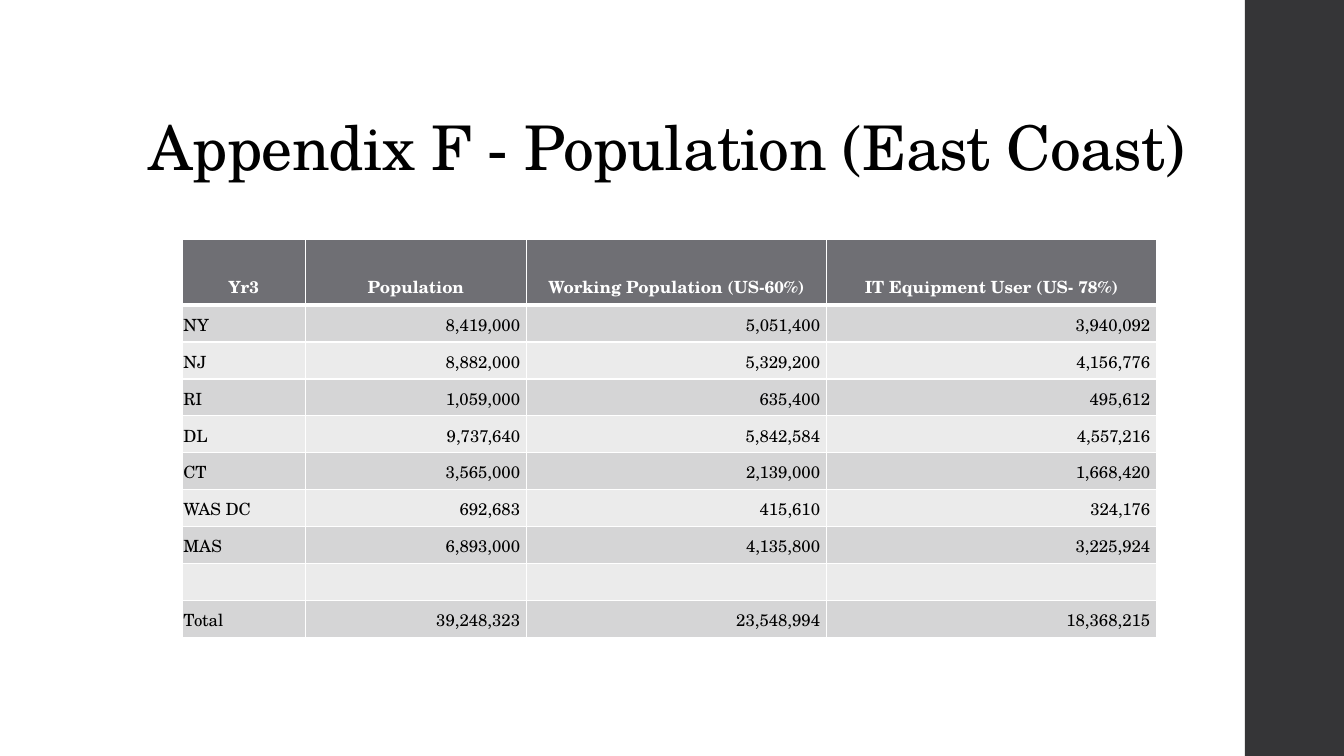
from lxml.etree import SubElement as Sub
from pptx import Presentation
from pptx.dml.color import RGBColor
from pptx.enum.shapes import MSO_SHAPE as Shape
from pptx.enum.text import MSO_ANCHOR as Anchor, PP_ALIGN as Align
from pptx.oxml.ns import qn
from pptx.util import Cm, Pt

FONT = "TeX Gyre Schola"
HEAD = ["Yr3", "Population", "Working Population (US-60%)", "IT Equipment User (US- 78%)"]
ROWS = [
    ["NY", "8,419,000", "5,051,400", "3,940,092"],
    ["NJ", "8,882,000", "5,329,200", "4,156,776"],
    ["RI", "1,059,000", "635,400", "495,612"],
    ["DL", "9,737,640", "5,842,584", "4,557,216"],
    ["CT", "3,565,000", "2,139,000", "1,668,420"],
    ["WAS DC", "692,683", "415,610", "324,176"],
    ["MAS", "6,893,000", "4,135,800", "3,225,924"],
    ["", "", "", ""],
    ["Total", "39,248,323", "23,548,994", "18,368,215"],
]
WIDTHS = [3.09, 5.58, 7.56, 8.32]
HEAD_H, ROW_H = 1.65, 0.93


def paint(fill, color):
    fill.solid()
    fill.fore_color.rgb = RGBColor.from_string(color)


def write(frame, text, size=12, color="000000", bold=False, align=Align.LEFT, space=None, line=None):
    para = frame.paragraphs[0]
    para.alignment = align
    para.line_spacing = line
    run = para.add_run()
    run.text = text
    run.font.name = FONT
    run.font.size = Pt(size)
    run.font.bold = bold
    run.font.color.rgb = RGBColor.from_string(color)
    if space is not None:
        run.font._element.set("spc", str(space))


def add_title(slide, text):
    box = slide.shapes.add_textbox(Cm(3.5), Cm(1.02), Cm(27.69), Cm(3.73))
    frame = box.text_frame
    frame.word_wrap = True
    frame.vertical_anchor = Anchor.BOTTOM
    write(frame, text, size=44, space=-50, line=0.9)


def add_band(slide, color):
    band = slide.shapes.add_shape(Shape.RECTANGLE, Cm(31.37), 0, Cm(2.5), Cm(19.05))
    band.shadow.inherit = False
    paint(band.fill, color)
    band.line.fill.background()


def add_edges(cell, color, **widths):
    props = cell._tc.get_or_add_tcPr()
    for side, width in widths.items():
        edge = Sub(props, qn(f"a:ln{side}"), w=str(Pt(width)))
        Sub(Sub(edge, qn("a:solidFill")), qn("a:srgbClr"), val=color)


def fill_cell(cell, text, row, col):
    top = row == 0
    number = not top and col > 0
    add_edges(cell, "FFFFFF", L=1, R=1, T=3 if row == 1 else 1, B=3 if top else 1)
    paint(cell.fill, "6F6F74" if top else "D5D5D6" if row % 2 else "EBEBEB")
    cell.vertical_anchor = Anchor.BOTTOM
    cell.margin_left = cell.margin_top = Cm(0.02)
    cell.margin_right = Cm(0.16 if number else 0.02)
    cell.margin_bottom = Cm(0.13)
    align = Align.CENTER if top else Align.RIGHT if number else Align.LEFT
    write(cell.text_frame, text, color="FFFFFF" if top else "000000", bold=top, align=align)


def add_grid(slide, rows):
    high = HEAD_H + ROW_H * (len(rows) - 1)
    frame = slide.shapes.add_table(
        len(rows), len(WIDTHS), Cm(4.6), Cm(6.04), Cm(sum(WIDTHS)), Cm(high))
    table = frame.table
    for col, width in zip(table.columns, WIDTHS):
        col.width = Cm(width)
    for r, texts in enumerate(rows):
        table.rows[r].height = Cm(ROW_H if r else HEAD_H)
        for c, text in enumerate(texts):
            fill_cell(table.cell(r, c), text, r, c)


def main():
    deck = Presentation()
    deck.slide_width, deck.slide_height = Cm(33.87), Cm(19.05)
    slide = deck.slides.add_slide(deck.slide_layouts[6])
    paint(slide.background.fill, "FFFFFF")
    add_band(slide, "353537")
    add_title(slide, "Appendix F - Population (East Coast)")
    add_grid(slide, [HEAD] + ROWS)
    deck.save("out.pptx")


if __name__ == "__main__":
    main()
